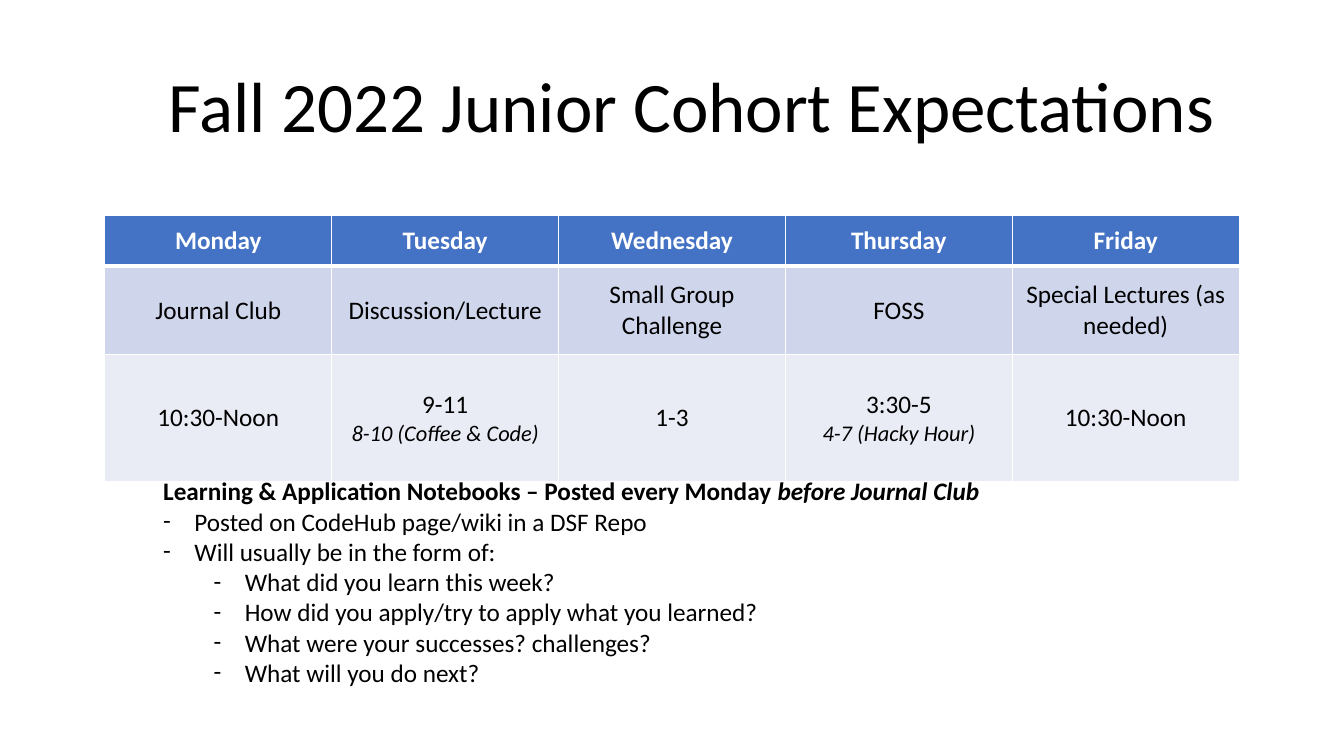
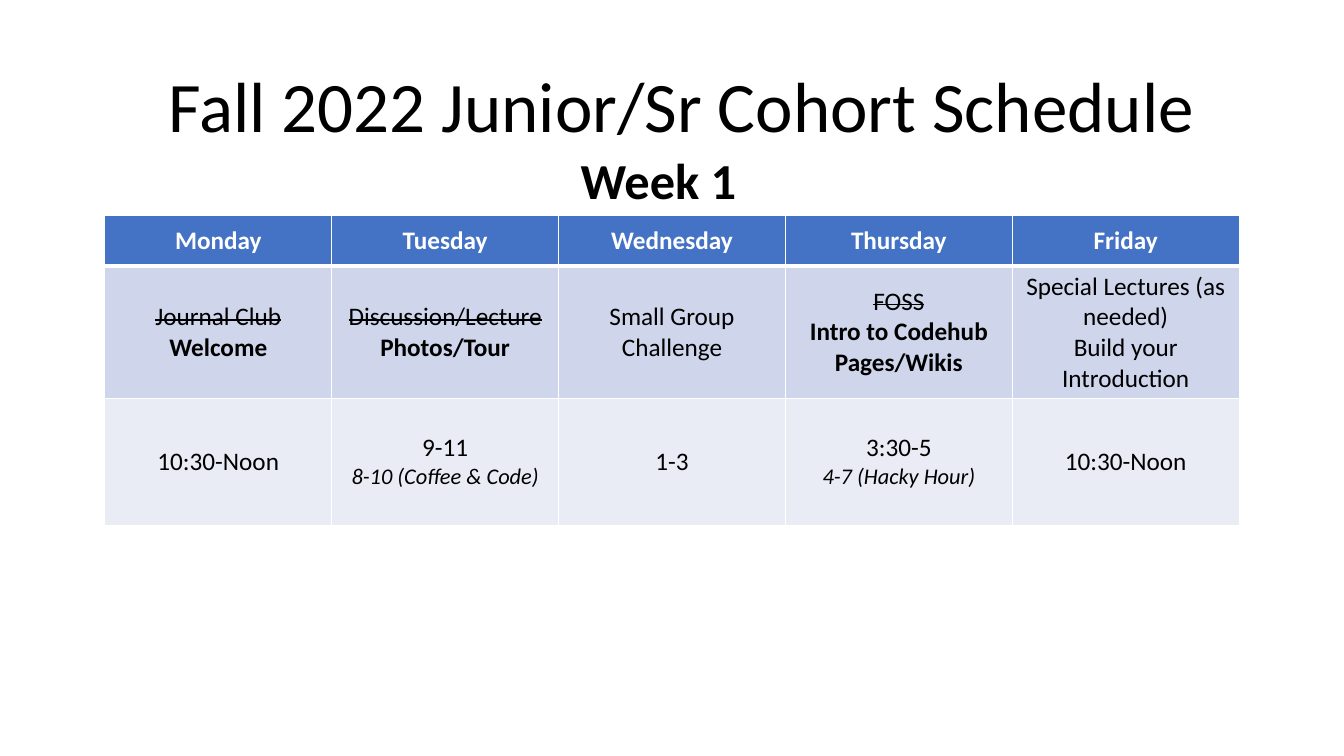
from lxml.etree import SubElement
from pptx import Presentation
from pptx.dml.color import RGBColor
from pptx.enum.text import MSO_ANCHOR as ANCHOR, PP_ALIGN as ALIGN
from pptx.oxml.ns import qn
from pptx.util import Inches, Pt

FONT = "Calibri"
COLORS = {"text": "000000", "white": "FFFFFF", "header": "4472C4",
          "activity": "CFD5EA", "time": "E9EBF5"}
ROW_FILLS = ("header", "activity", "time")

# Regions in inches: left, top, width, height
TITLE_BOX = (1.63, 0.67, 11.6, 0.84)
WEEK_BOX = (5.66, 1.43, 1.76, 0.71)
NOTES_BOX = (1.52, 4.67, 8.93, 2.83)
TABLE_LEFT, TABLE_TOP, TABLE_WIDTH = 1.04, 2.14, 11.25

# A cell is a list of paragraphs, each a (text, style) pair
PLAIN, BOLD = {}, {"bold": True}
STRUCK = {"strike": True}
SMALL = {"size": 16, "italic": True}
DAYS = [[(day, {"bold": True, "color": "white"})] for day in
        ("Monday", "Tuesday", "Wednesday", "Thursday", "Friday")]
TIMES = [
    [("10:30-Noon", PLAIN)],
    [("9-11", PLAIN), ("8-10 (Coffee & Code)", SMALL)],
    [("1-3", PLAIN)],
    [("3:30-5", PLAIN), ("4-7 (Hacky Hour)", SMALL)],
    [("10:30-Noon", PLAIN)],
]
USUAL_WEEK = [[(name, PLAIN)] for name in
              ("Journal Club", "Discussion/Lecture", "Small Group Challenge",
               "FOSS", "Special Lectures (as needed)")]
FIRST_WEEK = [
    [("Journal Club", STRUCK), ("Welcome", BOLD)],
    [("Discussion/Lecture", STRUCK), ("Photos/Tour", BOLD)],
    [("Small Group Challenge", PLAIN)],
    [("FOSS", STRUCK), ("Intro to Codehub Pages/Wikis", BOLD)],
    [("Special Lectures (as needed)", PLAIN),
     ("Build your Introduction", PLAIN)],
]
# Bullets as (level, text)
NOTES = [
    (0, "Posted on CodeHub page/wiki in a DSF Repo"),
    (0, "Will usually be in the form of:"),
    (1, "What did you learn this week?"),
    (1, "How did you apply/try to apply what you learned?"),
    (1, "What were your successes? challenges?"),
    (1, "What will you do next?"),
]


def rgb(name):
    return RGBColor.from_string(COLORS[name])


def add_run(p, text, size=18, bold=False, italic=False, strike=False,
            color="text"):
    r = p.add_run()
    r.text = text
    f = r.font
    f.name, f.size, f.bold, f.italic = FONT, Pt(size), bold, italic
    f.color.rgb = rgb(color)
    if strike:
        r._r.get_or_add_rPr().set("strike", "sngStrike")


def add_textbox(slide, box, wrap=True):
    tf = slide.shapes.add_textbox(*map(Inches, box)).text_frame
    tf.word_wrap = wrap
    return tf


def add_title(slide, text):
    tf = add_textbox(slide, TITLE_BOX)
    tf.vertical_anchor = ANCHOR.MIDDLE
    tf.margin_left = tf.margin_right = Inches(0.04)
    tf.margin_top = tf.margin_bottom = Inches(0.04)
    p = tf.paragraphs[0]
    p.line_spacing = 0.9
    add_run(p, text, 50.7)


def set_borders(cell, **widths):
    tcPr = cell._tc.get_or_add_tcPr()
    for side in "LRTB":
        ln = SubElement(tcPr, qn(f"a:ln{side}"),
                        w=str(Pt(widths.get(side, 1))))
        fill = SubElement(ln, qn("a:solidFill"))
        SubElement(fill, qn("a:srgbClr"), val=COLORS["white"])


def fill_cell(cell, paragraphs, fill):
    cell.fill.solid()
    cell.fill.fore_color.rgb = rgb(fill)
    cell.vertical_anchor = ANCHOR.MIDDLE
    tf = cell.text_frame
    for i, (text, style) in enumerate(paragraphs):
        p = tf.add_paragraph() if i else tf.paragraphs[0]
        p.alignment = ALIGN.CENTER
        add_run(p, text, **style)


def add_week_table(slide, activities, activity_height):
    rows = (DAYS, activities, TIMES)
    heights = (0.5, activity_height, 1.26)
    table = slide.shapes.add_table(
        len(rows), len(DAYS), Inches(TABLE_LEFT), Inches(TABLE_TOP),
        Inches(TABLE_WIDTH), Inches(sum(heights))).table
    for col in table.columns:
        col.width = Inches(TABLE_WIDTH / len(DAYS))
    # The rule under the header is thicker than the others
    rules = ({"B": 3}, {"T": 3}, {})
    for i, row in enumerate(rows):
        table.rows[i].height = Inches(heights[i])
        for j, paragraphs in enumerate(row):
            cell = table.cell(i, j)
            set_borders(cell, **rules[i])
            fill_cell(cell, paragraphs, ROW_FILLS[i])


def add_bullet(tf, level, text):
    p = tf.add_paragraph()
    p.level = level
    pPr = p._p.get_or_add_pPr()
    pPr.set("marL", str(Inches(0.31 + 0.5 * level)))
    pPr.set("indent", str(Inches(-0.31)))
    SubElement(pPr, qn("a:buFont"), typeface=FONT)
    SubElement(pPr, qn("a:buChar"), char="-")
    add_run(p, text)


def add_notebook_notes(slide):
    tf = add_textbox(slide, NOTES_BOX)
    p = tf.paragraphs[0]
    add_run(p, "Learning & Application Notebooks – Posted every Monday ",
            bold=True)
    add_run(p, "before Journal Club", bold=True, italic=True)
    for level, text in NOTES:
        add_bullet(tf, level, text)


def add_week_label(slide, text):
    tf = add_textbox(slide, WEEK_BOX, wrap=False)
    add_run(tf.paragraphs[0], text, 36, bold=True)


def add_week_slide(prs, title, activities, activity_height):
    slide = prs.slides.add_slide(prs.slide_layouts[6])
    add_title(slide, title)
    add_week_table(slide, activities, activity_height)
    return slide


def main():
    prs = Presentation()
    prs.slide_width, prs.slide_height = Inches(13.33), Inches(7.5)

    # Expectations for a usual week
    slide = add_week_slide(prs, "Fall 2022 Junior Cohort Expectations",
                           USUAL_WEEK, 0.88)
    add_notebook_notes(slide)

    # Schedule of the first week
    slide = add_week_slide(prs, "Fall 2022 Junior/Sr Cohort Schedule",
                           FIRST_WEEK, 1.31)
    add_week_label(slide, "Week 1")

    prs.save("out.pptx")


if __name__ == "__main__":
    main()
